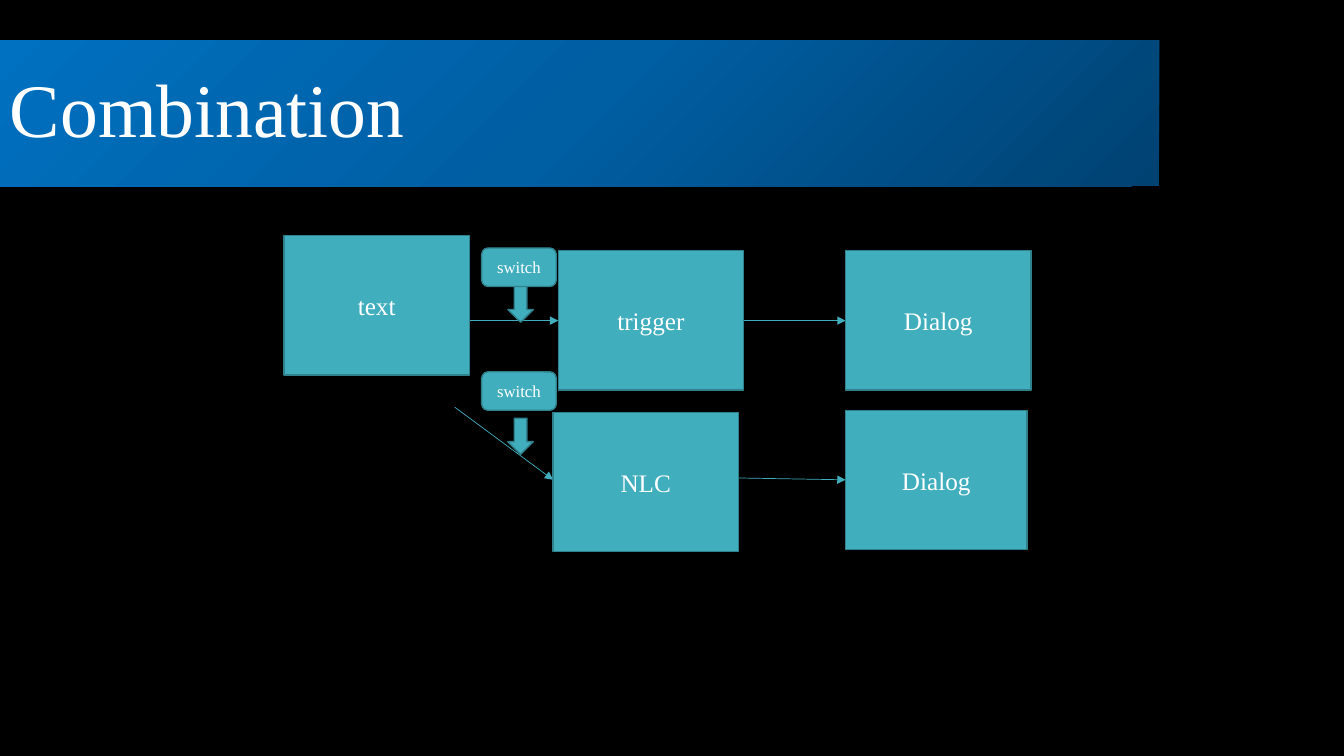
import copy
from dataclasses import dataclass

import pptx
import pptx.dml.color
import pptx.enum.shapes
import pptx.enum.text
import pptx.oxml
import pptx.oxml.ns
import pptx.util
from pptx.util import Cm

RGBColor = pptx.dml.color.RGBColor
SHAPE = pptx.enum.shapes.MSO_SHAPE
ALIGN = pptx.enum.text.PP_ALIGN
qn = pptx.oxml.ns.qn

BLACK = RGBColor(0x00, 0x00, 0x00)
WHITE = RGBColor(0xFF, 0xFF, 0xFF)
TEAL = RGBColor(0x41, 0xAE, 0xBD)
DARK_TEAL = RGBColor(0x30, 0x81, 0x8C)
NAVY = RGBColor(0x00, 0x42, 0x72)
MID_BLUE = RGBColor(0x00, 0x5E, 0xA2)
BLUE = RGBColor(0x00, 0x70, 0xC0)
FONT = "Times New Roman"


@dataclass
class Block:
    text: str
    left: float
    top: float
    width: float = 4.67
    height: float = 3.51
    size: int = 18
    kind: SHAPE = SHAPE.RECTANGLE


@dataclass
class Link:
    x1: float
    y1: float
    x2: float
    y2: float


@dataclass
class Switch:
    top: float
    arrow_top: float


BLOCKS = [
    Block("text", 7.16, 5.94),
    Block("trigger", 14.07, 6.32),
    Block("Dialog", 21.31, 6.32),
    Block("NLC", 13.94, 10.39),
    Block("Dialog", 21.31, 10.34, width=4.57),
]
LINKS = [
    Link(11.84, 8.08, 14.07, 8.08),
    Link(18.75, 8.08, 21.31, 8.08),
    Link(11.46, 10.26, 13.94, 12.09),
    Link(18.36, 12.04, 21.31, 12.09),
]
SWITCHES = [Switch(6.25, 7.21), Switch(9.37, 10.54)]


def write_text(sp, text: str, size: int, align) -> None:
    tf = sp.text_frame
    tf.word_wrap = True
    tf.vertical_anchor = pptx.enum.text.MSO_ANCHOR.MIDDLE
    p = tf.paragraphs[0]
    p.text = text
    p.alignment = align
    p.font.name = FONT
    p.font.size = pptx.util.Pt(size)
    p.font.color.rgb = WHITE


def add_banner(s, title: str) -> None:
    sp = s.shapes.add_shape(SHAPE.RECTANGLE, 0, Cm(1.02), Cm(29.21), Cm(3.68))
    sp.shadow.inherit = False
    sp.line.fill.background()
    sp.fill.gradient()
    sp.fill.gradient_angle = 135
    stops = sp._element.spPr.find(qn("a:gradFill")).find(qn("a:gsLst"))
    stops.insert(1, copy.deepcopy(stops[0]))
    colors = [(0, NAVY), (0.5, MID_BLUE), (1, BLUE)]
    for stop, (position, color) in zip(sp.fill.gradient_stops, colors):
        stop.position = position
        stop.color.rgb = color
    write_text(sp, title, 54, ALIGN.LEFT)
    sp.text_frame.paragraphs[0].line_spacing = 0.9


def add_block(s, block: Block) -> None:
    sp = s.shapes.add_shape(block.kind, Cm(block.left), Cm(block.top),
                            Cm(block.width), Cm(block.height))
    sp.shadow.inherit = False
    sp.fill.solid()
    sp.fill.fore_color.rgb = TEAL
    sp.line.color.rgb = DARK_TEAL
    sp.line.width = pptx.util.Pt(1)
    if block.text:
        write_text(sp, block.text, block.size, ALIGN.CENTER)


def add_link(s, link: Link) -> None:
    cn = s.shapes.add_connector(pptx.enum.shapes.MSO_CONNECTOR.STRAIGHT,
                                Cm(link.x1), Cm(link.y1), Cm(link.x2), Cm(link.y2))
    cn.line.color.rgb = TEAL
    cn.line.width = pptx.util.Pt(0.5)
    sp_pr = cn._element.spPr
    tail = pptx.oxml.parse_xml(
        f'<a:tailEnd {pptx.oxml.ns.nsdecls("a")} type="triangle"/>')
    sp_pr.find(qn("a:ln")).append(tail)
    sp_pr.append(pptx.oxml.parse_xml(f'<a:effectLst {pptx.oxml.ns.nsdecls("a")}/>'))


def add_switch(s, switch: Switch) -> None:
    add_block(s, Block("", 12.8, switch.arrow_top, 0.64, 0.91, kind=SHAPE.DOWN_ARROW))
    add_block(s, Block("switch", 12.14, switch.top, 1.88, 0.97, 12,
                       SHAPE.ROUNDED_RECTANGLE))


def main() -> None:
    prs = pptx.Presentation()
    prs.slide_width = Cm(33.87)
    prs.slide_height = Cm(19.05)
    s = prs.slides.add_slide(prs.slide_layouts[6])
    s.background.fill.solid()
    s.background.fill.fore_color.rgb = BLACK
    add_banner(s, "Combination")
    for link in LINKS:
        add_link(s, link)
    for block in BLOCKS:
        add_block(s, block)
    for switch in SWITCHES:
        add_switch(s, switch)
    prs.save("out.pptx")


if __name__ == "__main__":
    main()
